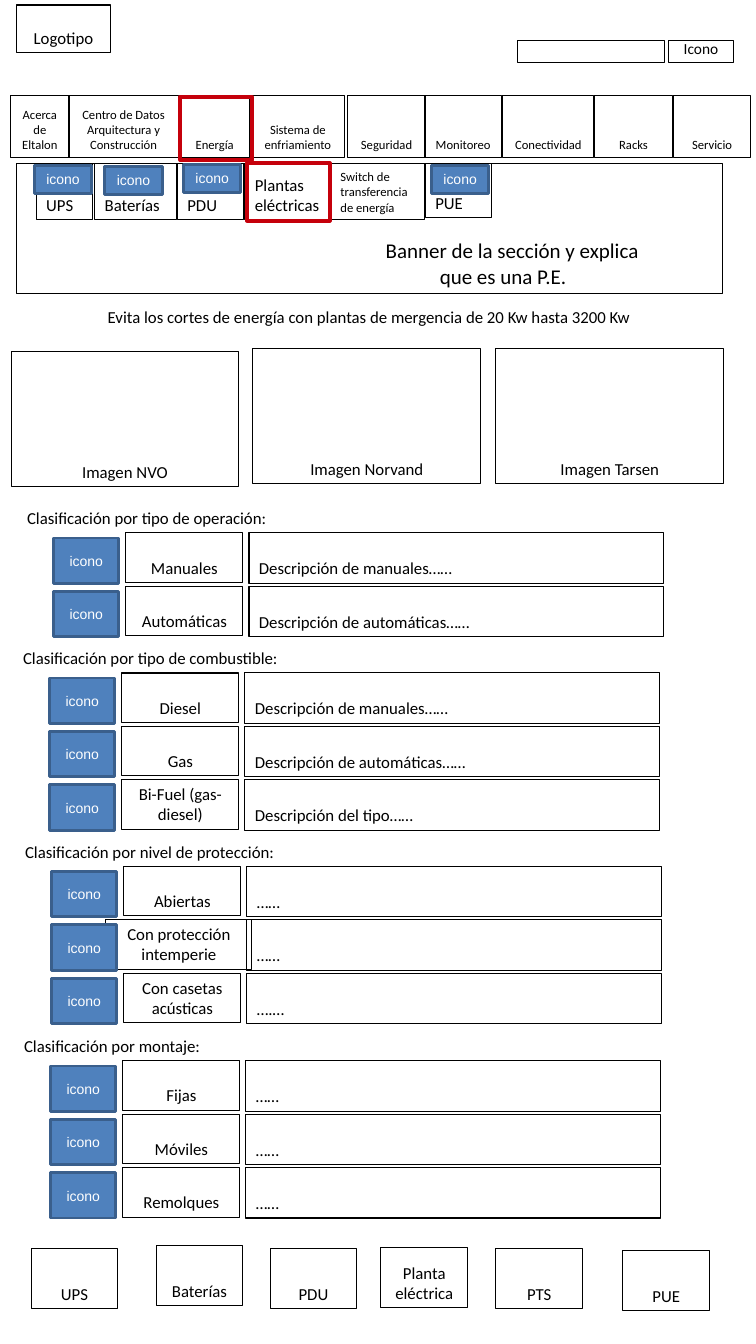
from dataclasses import dataclass

from pptx import Presentation
from pptx.dml.color import RGBColor
from pptx.enum.shapes import MSO_SHAPE
from pptx.enum.text import MSO_ANCHOR, PP_ALIGN
from pptx.util import Inches, Pt

RECTANGLE = MSO_SHAPE.RECTANGLE
BOTTOM, MIDDLE = MSO_ANCHOR.BOTTOM, MSO_ANCHOR.MIDDLE
LEFT, CENTER = PP_ALIGN.LEFT, PP_ALIGN.CENTER


@dataclass(frozen=True)
class Theme:
    """Colours, fonts, type sizes and line widths of the wireframe."""
    ink: str = "000000"
    white: str = "FFFFFF"
    accent: str = "C5000B"
    icon_fill: str = "4F81BD"
    icon_line: str = "3A5F8C"
    body_font: str = "Calibri"
    icon_font: str = "Arial"
    banner_size: float = 15
    body_size: float = 12
    label_size: float = 11
    icon_size: float = 10
    small_size: float = 9
    thin: float = 0.75
    medium: float = 2
    thick: float = 2.83


class Wireframe:
    """Draws the wireframe's elements on one slide in one theme."""

    def __init__(self, page, theme):
        """Keep the slide and its theme."""
        self.page = page
        self.theme = theme

    def add_lines(self, shape, lines, size, align, anchor=BOTTOM, font=None, color=None):
        """Put each line in its own paragraph and return the paragraphs."""
        frame = shape.text_frame
        frame.word_wrap = True
        frame.vertical_anchor = anchor
        for index, line in enumerate(lines):
            para = frame.add_paragraph() if index else frame.paragraphs[0]
            para.alignment = align
            span = para.add_run()
            span.text = line
            span.font.size = Pt(size)
            span.font.name = font or self.theme.body_font
            span.font.color.rgb = RGBColor.from_string(color or self.theme.ink)
        return frame.paragraphs

    def rectangle(self, left, top, width, height, line, weight, fill=None):
        """Add a plain outlined rectangle, filled if a colour is given."""
        box = self.page.shapes.add_shape(
            RECTANGLE, Inches(left), Inches(top), Inches(width), Inches(height))
        box.shadow.inherit = False
        box.line.color.rgb = RGBColor.from_string(line)
        box.line.width = Pt(weight)
        if fill:
            box.fill.solid()
            box.fill.fore_color.rgb = RGBColor.from_string(fill)
        else:
            box.fill.background()
        return box

    def cell(self, left, top, width, height, text="", size=None, align=CENTER):
        """Add a thin black box with its text at the bottom."""
        box = self.rectangle(left, top, width, height, self.theme.ink, self.theme.thin)
        if text:
            self.add_lines(box, [text], size or self.theme.body_size, align)

    def highlight(self, left, top, width, height):
        """Add a thick red frame around the selected entry."""
        self.rectangle(left, top, width, height, self.theme.accent, self.theme.thick)

    def icon(self, left, top, width, height):
        """Add a blue icon placeholder."""
        theme = self.theme
        box = self.rectangle(left, top, width, height, theme.icon_line,
                             theme.medium, theme.icon_fill)
        self.add_lines(box, ["icono"], theme.icon_size, CENTER, MIDDLE,
                       theme.icon_font, theme.white)

    def heading(self, left, top, width, text):
        """Add one line of text without an outline."""
        box = self.page.shapes.add_textbox(
            Inches(left), Inches(top), Inches(width), Inches(0.33))
        self.add_lines(box, [text], self.theme.body_size, LEFT)

    def banner(self, left, top, width, height, lines):
        """Add the section banner, its text centred in the right part."""
        box = self.rectangle(left, top, width, height, self.theme.ink, self.theme.thin)
        paras = self.add_lines(box, lines, self.theme.banner_size, CENTER)
        box.text_frame.margin_left = Inches(2.75)
        first = paras[0]._p.get_or_add_pPr()
        first.set("marL", str(Inches(0.18)))
        first.set("indent", "0")

    def classification(self, left, top, title, rows):
        """Add a heading and its rows of icon, name and description."""
        self.heading(left, top, 3.28, title)
        for index, (name, description) in enumerate(rows):
            row_top = top + 0.33 + 0.53 * index
            name_left, name_width = WIDE_NAMES.get(name, (1.08, 1.16))
            self.cell(left + name_left, row_top, name_width, 0.49, name)
            self.cell(left + 2.3, row_top, 4.11, 0.5, description, align=LEFT)
            self.icon(left + 0.36, row_top + 0.05, 0.65, 0.45)


# Left offset and width of names that need a wider box.
WIDE_NAMES = {"Con protección intemperie": (0.9, 1.45)}

# Left, width, text.
NAVIGATION = [
    (0.1, 0.59, "Acerca de Eltalon"),
    (0.68, 1.09, "Centro de Datos Arquitectura y Construcción"),
    (1.78, 0.7, "Energía"),
    (2.49, 0.93, "Sistema de enfriamiento"),
    (3.45, 0.77, "Seguridad"),
    (4.21, 0.77, "Monitoreo"),
    (4.99, 0.9, "Conectividad"),
    (5.9, 0.77, "Racks"),
    (6.68, 0.77, "Servicio"),
]

THEME = Theme()

# Left, width, bottom, text, type size.
SUBMENU = [
    (0.36, 0.56, 2.18, "UPS", THEME.body_size),
    (0.94, 0.81, 2.18, "Baterías", THEME.body_size),
    (1.76, 0.66, 2.18, "PDU", THEME.body_size),
    (2.43, 0.84, 2.18, "Plantas eléctricas", THEME.body_size),
    (3.28, 0.93, 2.18, "Switch de transferencia de energía", THEME.small_size),
    (4.22, 0.66, 2.16, "PUE", THEME.body_size),
]
SUBMENU_ICONS = [(0.34, 1.64), (1.04, 1.65), (1.82, 1.63), (4.28, 1.64)]

# Left, top, text.
PHOTOS = [(0.11, 3.49, "Imagen NVO"), (2.51, 3.46, "Imagen Norvand"),
          (4.92, 3.46, "Imagen Tarsen")]
FOOTER = [(0.31, 12.39, "UPS"), (1.55, 12.36, "Baterías"), (2.68, 12.39, "PDU"),
          (3.78, 12.38, "Planta eléctrica"), (4.92, 12.39, "PTS"),
          (6.18, 12.41, "PUE")]

# Left, top, title, rows of name and description.
CLASSIFICATIONS = [
    (0.17, 4.96, "Clasificación por tipo de operación:",
     [("Manuales", "Descripción de manuales……"),
      ("Automáticas", "Descripción de automáticas……")]),
    (0.13, 6.35, "Clasificación por tipo de combustible:",
     [("Diesel", "Descripción de manuales……"),
      ("Gas", "Descripción de automáticas……"),
      ("Bi-Fuel (gas-diesel)", "Descripción del tipo……")]),
    (0.15, 8.27, "Clasificación por nivel de protección:",
     [("Abiertas", "……"), ("Con protección intemperie", "……"),
      ("Con casetas acústicas", "….…")]),
    (0.14, 10.2, "Clasificación por montaje:",
     [("Fijas", "……"), ("Móviles", "……"), ("Remolques", "……")]),
]


def main():
    """Build the slide and save the deck."""
    deck = Presentation()
    deck.slide_width, deck.slide_height = Inches(7.5), Inches(13.34)
    page = deck.slides.add_slide(deck.slide_layouts[6])
    wireframe = Wireframe(page, THEME)

    wireframe.banner(0.16, 1.62, 7.01, 1.29,
                     ["Banner de la sección y explica", "que es una P.E."])
    wireframe.heading(0.97, 2.96, 5.56, "Evita los cortes de energía con plantas "
                      "de mergencia de 20 Kw hasta 3200 Kw")
    wireframe.cell(0.16, 0.05, 0.94, 0.47, "Logotipo")
    wireframe.cell(5.13, 0.4, 1.46, 0.22)
    wireframe.cell(6.63, 0.4, 0.65, 0.22, "Icono", THEME.label_size)

    for left, width, text in NAVIGATION:
        wireframe.cell(left, 0.95, width, 0.61, text, THEME.small_size)
    wireframe.highlight(1.79, 0.96, 0.71, 0.63)

    for left, width, bottom, text, size in SUBMENU:
        wireframe.cell(left, 1.62, width, bottom - 1.62, text, size, LEFT)
    wireframe.highlight(2.45, 1.62, 0.82, 0.57)
    for left, top in SUBMENU_ICONS:
        wireframe.icon(left, top, 0.57, 0.28)

    for left, top, text in PHOTOS:
        wireframe.cell(left, top, 2.26, 1.34, text)
    for group in CLASSIFICATIONS:
        wireframe.classification(*group)
    for left, top, text in FOOTER:
        wireframe.cell(left, top, 0.86, 0.6, text)

    deck.save("out.pptx")


main()
